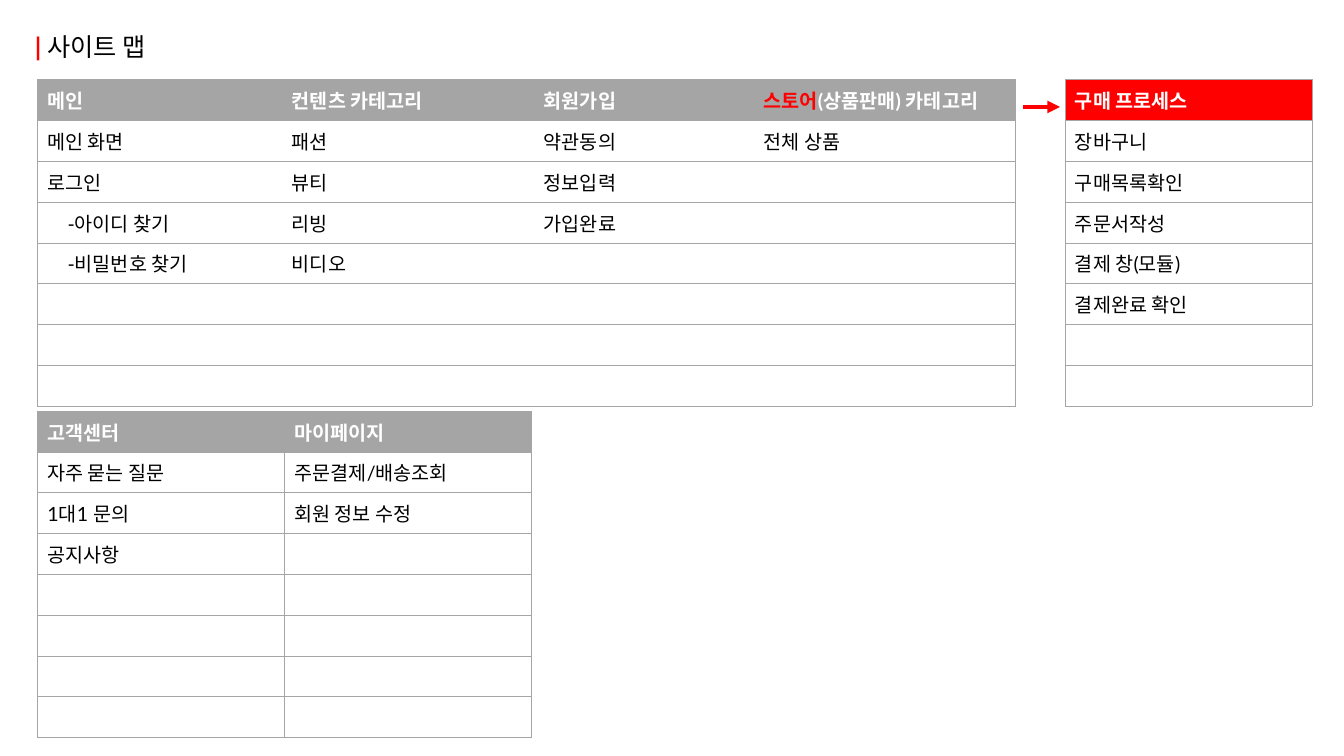
from dataclasses import dataclass

from lxml.etree import SubElement
from pptx import Presentation
from pptx.dml.color import RGBColor
from pptx.enum.shapes import MSO_CONNECTOR
from pptx.enum.text import MSO_ANCHOR, MSO_AUTO_SIZE
from pptx.oxml.ns import qn
from pptx.util import Inches, Length, Pt

RED, GRAY, WHITE, BLACK = "FF0000", "A5A5A5", "FFFFFF", "000000"
FONT = "Lato"

# Grid: one column is a single-list table, one row is a table row
LEFT, TOP = 0.37, 0.79
COLUMN_WIDTH, ROW_HEIGHT = 2.45, 0.405
ROW_COUNT = 8
SUB_ITEM_MARGIN = 0.3


@dataclass(frozen=True)
class TextPart:
    text: str
    color: str
    bold: bool = False


@dataclass(frozen=True)
class MenuList:
    heading: list[TextPart]
    items: list[str]
    columns: float = 1


@dataclass(frozen=True)
class MenuTable:
    column: float
    row: float
    lists: list[MenuList]
    header_fill: str = GRAY


def columns(count: float) -> Length:
    return Inches(count * COLUMN_WIDTH)


def rows(count: float) -> Length:
    return Inches(count * ROW_HEIGHT)


def column_at(position: float) -> Length:
    return Inches(LEFT) + columns(position)


def row_at(position: float) -> Length:
    return Inches(TOP) + rows(position)


def color_of(value: str) -> RGBColor:
    return RGBColor.from_string(value)


def heading(text: str) -> list[TextPart]:
    return [TextPart(text, WHITE, True)]


def write_parts(paragraph, parts: list[TextPart], size: float) -> None:
    for part in parts:
        run = paragraph.add_run()
        run.text = part.text
        formats = {"name": FONT, "size": Pt(size), "bold": part.bold}
        for name, value in formats.items():
            setattr(run.font, name, value)
        run.font.color.rgb = color_of(part.color)


def set_borders(cell, visible: dict[str, bool]) -> None:
    properties = cell._tc.get_or_add_tcPr()
    for side, shown in visible.items():
        line = SubElement(properties, qn(f"a:ln{side}"), w=str(Pt(0.5)))
        if shown:
            fill = SubElement(line, qn("a:solidFill"))
            SubElement(fill, qn("a:srgbClr"), val=GRAY)
        else:
            SubElement(line, qn("a:noFill"))


def draw_table(slide, menu: MenuTable) -> None:
    width = sum(menu_list.columns for menu_list in menu.lists)
    table = slide.shapes.add_table(
        ROW_COUNT, len(menu.lists), column_at(menu.column), row_at(menu.row),
        columns(width), rows(ROW_COUNT)).table
    for name in ("first_row", "horz_banding"):
        setattr(table, name, False)

    last = len(menu.lists) - 1
    for index, menu_list in enumerate(menu.lists):
        table.columns[index].width = columns(menu_list.columns)
        for row in range(ROW_COUNT):
            cell = table.cell(row, index)
            cell.vertical_anchor = MSO_ANCHOR.MIDDLE
            set_borders(cell, {"L": index == 0, "R": index == last,
                               "T": True, "B": True})
            paragraph = cell.text_frame.paragraphs[0]
            if row == 0:
                cell.fill.solid()
                cell.fill.fore_color.rgb = color_of(menu.header_fill)
                write_parts(paragraph, menu_list.heading, 14)
                continue
            cell.fill.background()
            if row <= len(menu_list.items):
                item = menu_list.items[row - 1]
                if item.startswith("-"):
                    cell.margin_left = Inches(SUB_ITEM_MARGIN)
                write_parts(paragraph, [TextPart(item, BLACK)], 14)


def draw_title(slide) -> None:
    box = slide.shapes.add_textbox(
        column_at(-0.05), row_at(-1.31), columns(1.23), rows(1))
    formats = {"word_wrap": True, "auto_size": MSO_AUTO_SIZE.SHAPE_TO_FIT_TEXT}
    for name, value in formats.items():
        setattr(box.text_frame, name, value)
    parts = [TextPart("| ", RED, True), TextPart("사이트 맵", BLACK)]
    write_parts(box.text_frame.paragraphs[0], parts, 18)


def draw_arrow(slide) -> None:
    height = row_at(0.67)
    arrow = slide.shapes.add_connector(
        MSO_CONNECTOR.STRAIGHT, column_at(3.99), height, column_at(4.14), height)
    arrow.line.width = Pt(3)
    arrow.line.color.rgb = color_of(RED)
    SubElement(arrow.line._get_or_add_ln(), qn("a:tailEnd"), type="triangle")
    SubElement(arrow._element.spPr, qn("a:effectLst"))


MENU_TABLES = [
    # Main site sections
    MenuTable(0, 0, [
        MenuList(heading("메인"),
                 ["메인 화면", "로그인", "-아이디 찾기", "-비밀번호 찾기"], 0.99),
        MenuList(heading("컨텐츠 카테고리"), ["패션", "뷰티", "리빙", "비디오"], 1.02),
        MenuList(heading("회원가입"), ["약관동의", "정보입력", "가입완료"], 0.89),
        MenuList([TextPart("스토어", RED, True), *heading("(상품판매) 카테고리")],
                 ["전체 상품"], 1.06),
    ]),
    # Customer centre
    MenuTable(0, 8.12, [
        MenuList(heading("고객센터"), ["자주 묻는 질문", "1대1 문의", "공지사항"]),
    ]),
    # Purchase process
    MenuTable(4.16, 0, [
        MenuList(heading("구매 프로세스"),
                 ["장바구니", "구매목록확인", "주문서작성", "결제 창(모듈)", "결제완료 확인"]),
    ], RED),
    # My page
    MenuTable(1, 8.12, [
        MenuList(heading("마이페이지"), ["주문결제/배송조회", "회원 정보 수정"]),
    ]),
]


def main() -> None:
    presentation = Presentation()
    presentation.slide_width = Inches(13.33)
    presentation.slide_height = Inches(7.5)
    slide = presentation.slides.add_slide(presentation.slide_layouts[6])
    draw_title(slide)
    for menu in MENU_TABLES:
        draw_table(slide, menu)
    draw_arrow(slide)
    presentation.save("out.pptx")


if __name__ == "__main__":
    main()
